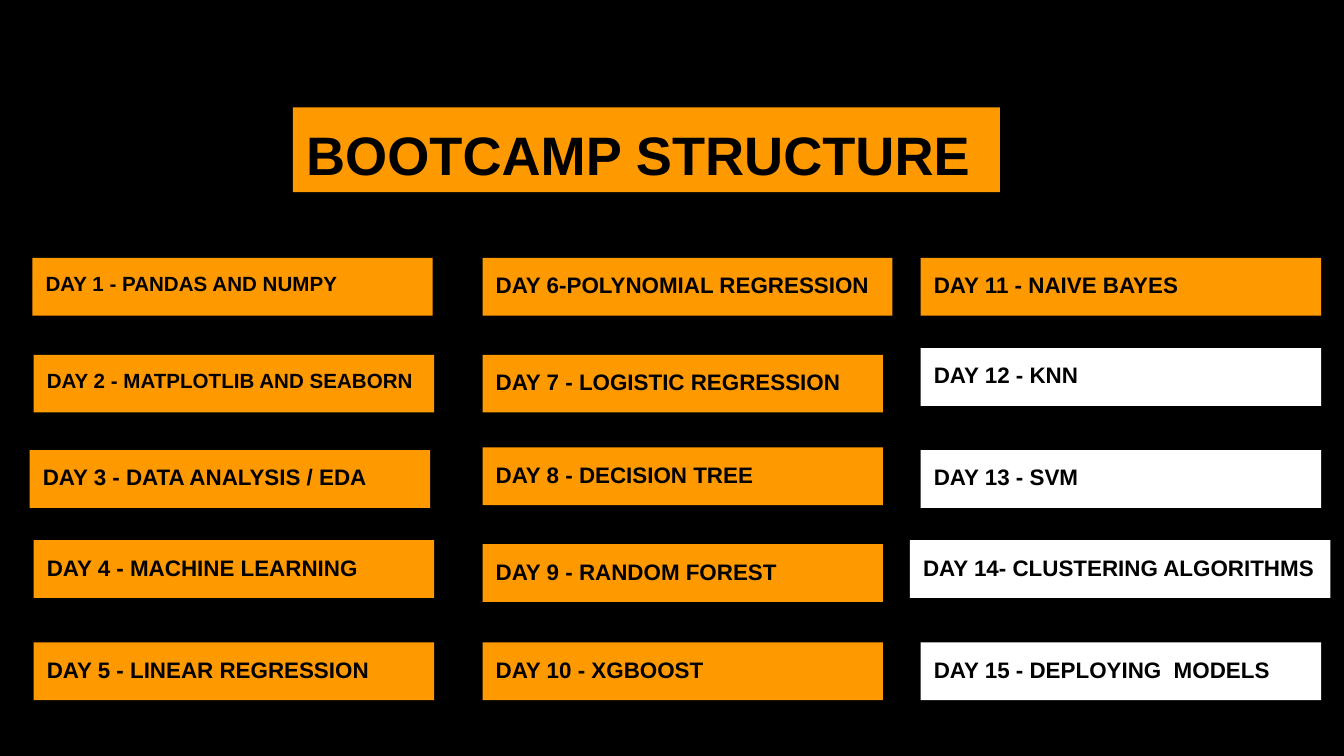
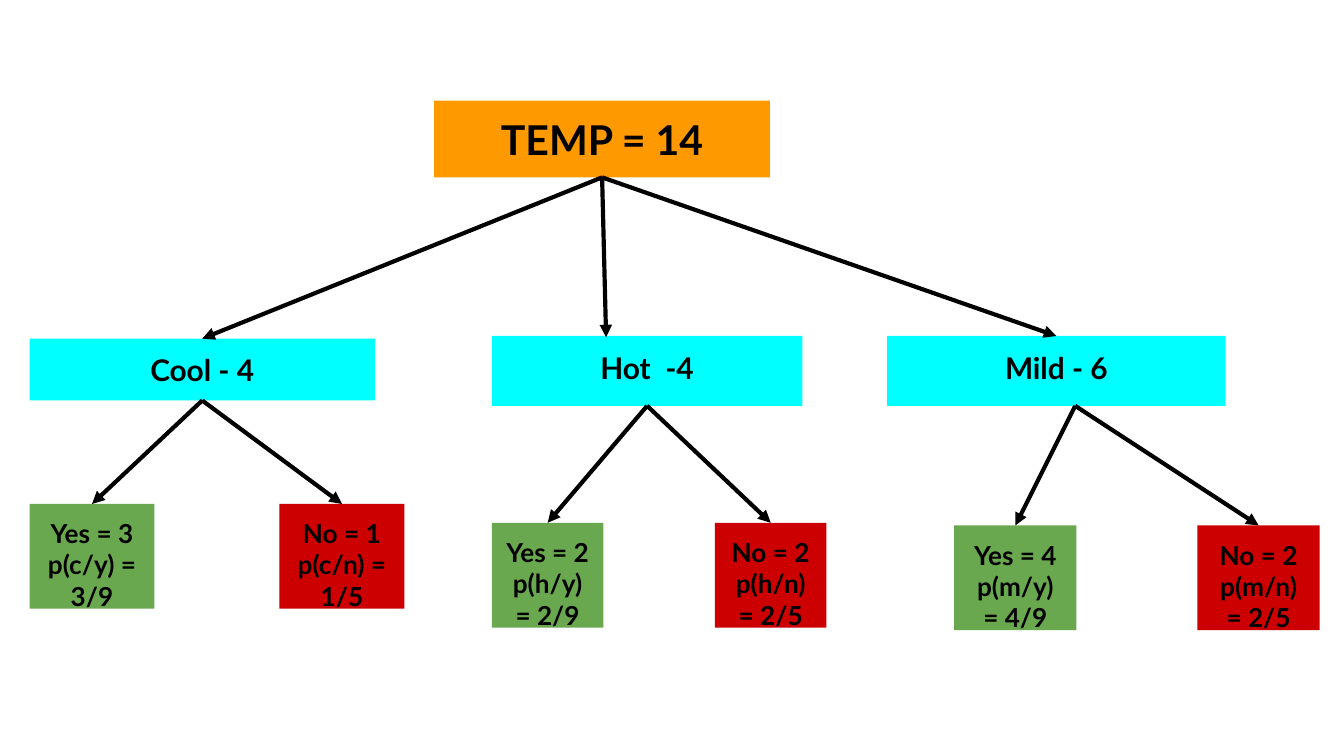
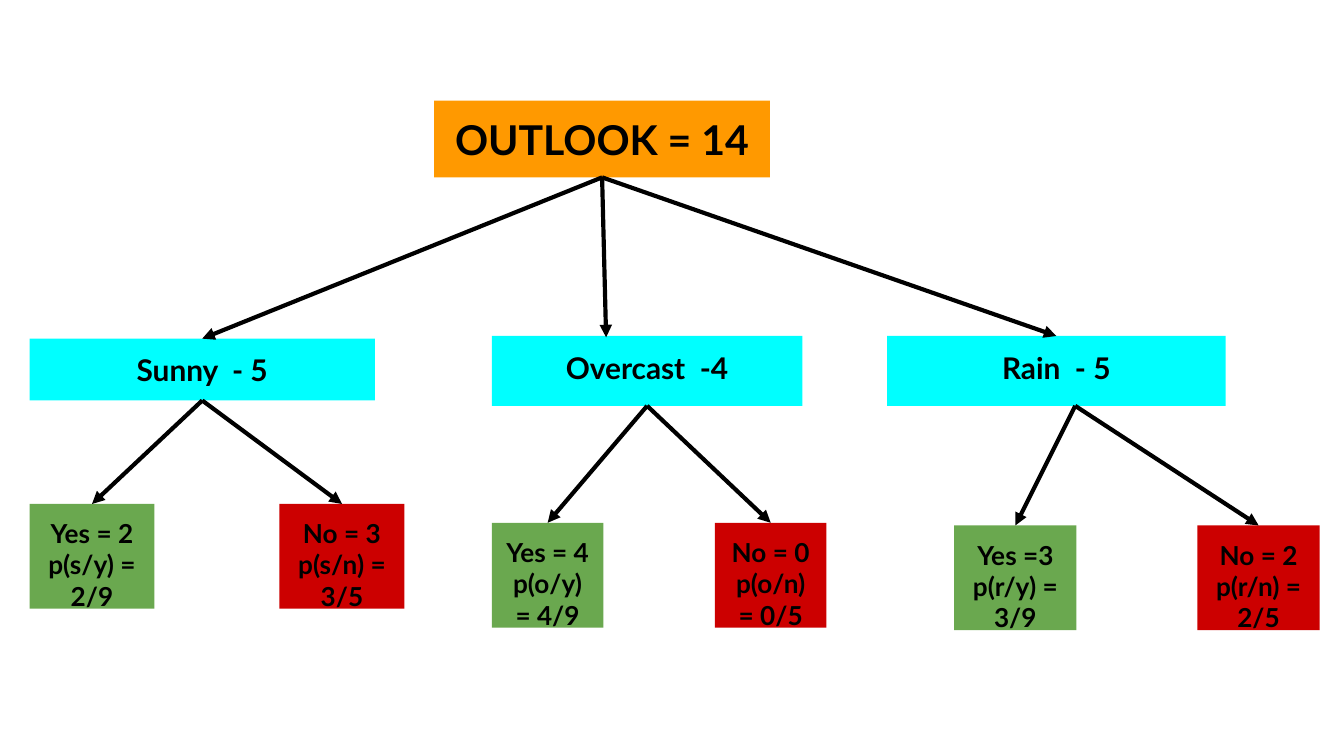
"""Build a bootcamp overview slide and two probability tree slides."""
from lxml.etree import SubElement
from pptx import Presentation
from pptx.dml.color import RGBColor
from pptx.enum.shapes import MSO_CONNECTOR, MSO_SHAPE
from pptx.enum.text import MSO_ANCHOR, PP_ALIGN
from pptx.oxml.ns import qn
from pptx.util import Inches, Pt

COLORS = {
    "black": "000000", "white": "FFFFFF", "orange": "FF9900",
    "cyan": "00FFFF", "green": "6AA84F", "red": "CC0000",
}

BOOTCAMP_TITLE = "BOOTCAMP STRUCTURE"
DAY_W, DAY_H = 2.98, 0.43
DAYS = [
    ("DAY 1 - PANDAS AND NUMPY", 0.24, 1.92, DAY_W, 11),
    ("DAY 2 - MATPLOTLIB AND SEABORN", 0.25, 2.64, DAY_W, 11),
    ("DAY 3 - DATA ANALYSIS / EDA", 0.22, 3.35, DAY_W, 12),
    ("DAY 4 - MACHINE LEARNING", 0.25, 4.02, DAY_W, 12),
    ("DAY 5 - LINEAR REGRESSION", 0.25, 4.78, DAY_W, 12),
    ("DAY 6-POLYNOMIAL REGRESSION", 3.59, 1.92, 3.05, 12),
    ("DAY 7 - LOGISTIC REGRESSION", 3.59, 2.64, DAY_W, 12),
    ("DAY 8 - DECISION TREE", 3.59, 3.33, DAY_W, 12),
    ("DAY 9 - RANDOM FOREST", 3.59, 4.05, DAY_W, 12),
    ("DAY 10 - XGBOOST", 3.59, 4.78, DAY_W, 12),
    ("DAY 11 - NAIVE BAYES", 6.85, 1.92, DAY_W, 12),
    ("DAY 12 - KNN", 6.85, 2.59, DAY_W, 12),
    ("DAY 13 - SVM", 6.85, 3.35, DAY_W, 12),
    ("DAY 14- CLUSTERING ALGORITHMS", 6.77, 4.02, 3.13, 12),
    ("DAY 15 - DEPLOYING  MODELS", 6.85, 4.78, DAY_W, 12),
]
DAYS_DONE = 11

TREES = [
    ("TEMP = 14", [
        ("Cool - 4", ["Yes = 3", "p(c/y) = 3/9"], ["No = 1", "p(c/n) = 1/5"]),
        ("Hot  -4", ["Yes = 2", "p(h/y) = 2/9"], ["No = 2", "p(h/n) = 2/5"]),
        ("Mild - 6", ["Yes = 4", "p(m/y) = 4/9"], ["No = 2", "p(m/n) = 2/5"]),
    ]),
    ("OUTLOOK = 14", [
        ("Sunny  - 5", ["Yes = 2", "p(s/y) = 2/9"], ["No = 3", "p(s/n) = 3/5"]),
        ("Overcast  -4", ["Yes = 4", "p(o/y) = 4/9"], ["No = 0", "p(o/n) = 0/5"]),
        ("Rain  - 5", ["Yes =3", "p(r/y) = 3/9"], ["No = 2", "p(r/n) = 2/5"]),
    ]),
]
ROOT_BOX = (3.23, 0.75, 2.5, 0.57)
LEAF_H = 0.78
BRANCHES = [
    {"box": (0.22, 2.52, 2.57, 0.46), "leaf_lefts": (0.22, 2.08),
     "leaf_top": 3.75, "leaf_w": 0.93},
    {"box": (3.66, 2.5, 2.31, 0.52), "leaf_lefts": (3.66, 5.32),
     "leaf_top": 3.89, "leaf_w": 0.83, "entry": (4.51, 2.51)},
    {"box": (6.6, 2.5, 2.52, 0.52), "leaf_lefts": (7.1, 8.91),
     "leaf_top": 3.91, "leaf_w": 0.91, "exit": (8, 3.02)},
]
BOTTOM, TOP = 2, 0


def rgb(name):
    return RGBColor.from_string(COLORS[name])


def add_slide(prs, background):
    slide = prs.slides.add_slide(prs.slide_layouts[6])
    fill = slide.background.fill
    fill.solid()
    fill.fore_color.rgb = rgb(background)
    return slide


def add_box(slide, box, lines, color, size, font="Lato", align=PP_ALIGN.CENTER):
    sp = slide.shapes.add_shape(MSO_SHAPE.RECTANGLE, *map(Inches, box))
    sp.shadow.inherit = False
    sp.fill.solid()
    sp.fill.fore_color.rgb = rgb(color)
    sp.line.fill.background()
    tf = sp.text_frame
    tf.word_wrap = True
    tf.vertical_anchor = MSO_ANCHOR.TOP
    tf.margin_left = tf.margin_right = tf.margin_top = tf.margin_bottom = Inches(0.1)
    for i, line in enumerate(lines):
        p = tf.add_paragraph() if i else tf.paragraphs[0]
        p.alignment = align
        r = p.add_run()
        r.text = line
        r.font.name = font
        r.font.size = Pt(size)
        r.font.bold = True
        r.font.color.rgb = rgb("black")
    return sp


def add_arrow(slide, parent, child, start=None, end=None):
    x1, y1 = map(Inches, start or (0, 0))
    x2, y2 = map(Inches, end or (0, 0))
    cx = slide.shapes.add_connector(MSO_CONNECTOR.STRAIGHT, x1, y1, x2, y2)
    if not start:
        cx.begin_connect(parent, BOTTOM)
    if not end:
        cx.end_connect(child, TOP)
    cx.line.color.rgb = rgb("black")
    cx.line.width = Pt(2.25)
    props = cx.element.spPr
    SubElement(props.find(qn("a:ln")), qn("a:tailEnd"), type="triangle")
    SubElement(props, qn("a:effectLst"))


def build_bootcamp(prs):
    slide = add_slide(prs, "black")
    style = {"font": "Arial", "align": PP_ALIGN.LEFT}
    add_box(slide, (2.18, 0.8, 5.26, 0.63), [BOOTCAMP_TITLE], "orange", 29, **style)
    for day, (text, left, top, width, size) in enumerate(DAYS, 1):
        color = "orange" if day <= DAYS_DONE else "white"
        add_box(slide, (left, top, width, DAY_H), [text], color, size, **style)


def build_tree(prs, title, branches):
    slide = add_slide(prs, "white")
    root = add_box(slide, ROOT_BOX, [title], "orange", 22)
    for (label, *leaves), place in zip(branches, BRANCHES):
        branch = add_box(slide, place["box"], [label], "cyan", 16)
        add_arrow(slide, root, branch, end=place.get("entry"))
        for lines, left, color in zip(leaves, place["leaf_lefts"], ("green", "red")):
            box = (left, place["leaf_top"], place["leaf_w"], LEAF_H)
            leaf = add_box(slide, box, lines, color, 14)
            add_arrow(slide, branch, leaf, start=place.get("exit"))


def main():
    prs = Presentation()
    prs.slide_width = Inches(10)
    prs.slide_height = prs.slide_width * 9 // 16
    build_bootcamp(prs)
    for title, branches in TREES:
        build_tree(prs, title, branches)
    prs.save("out.pptx")


if __name__ == "__main__":
    main()
